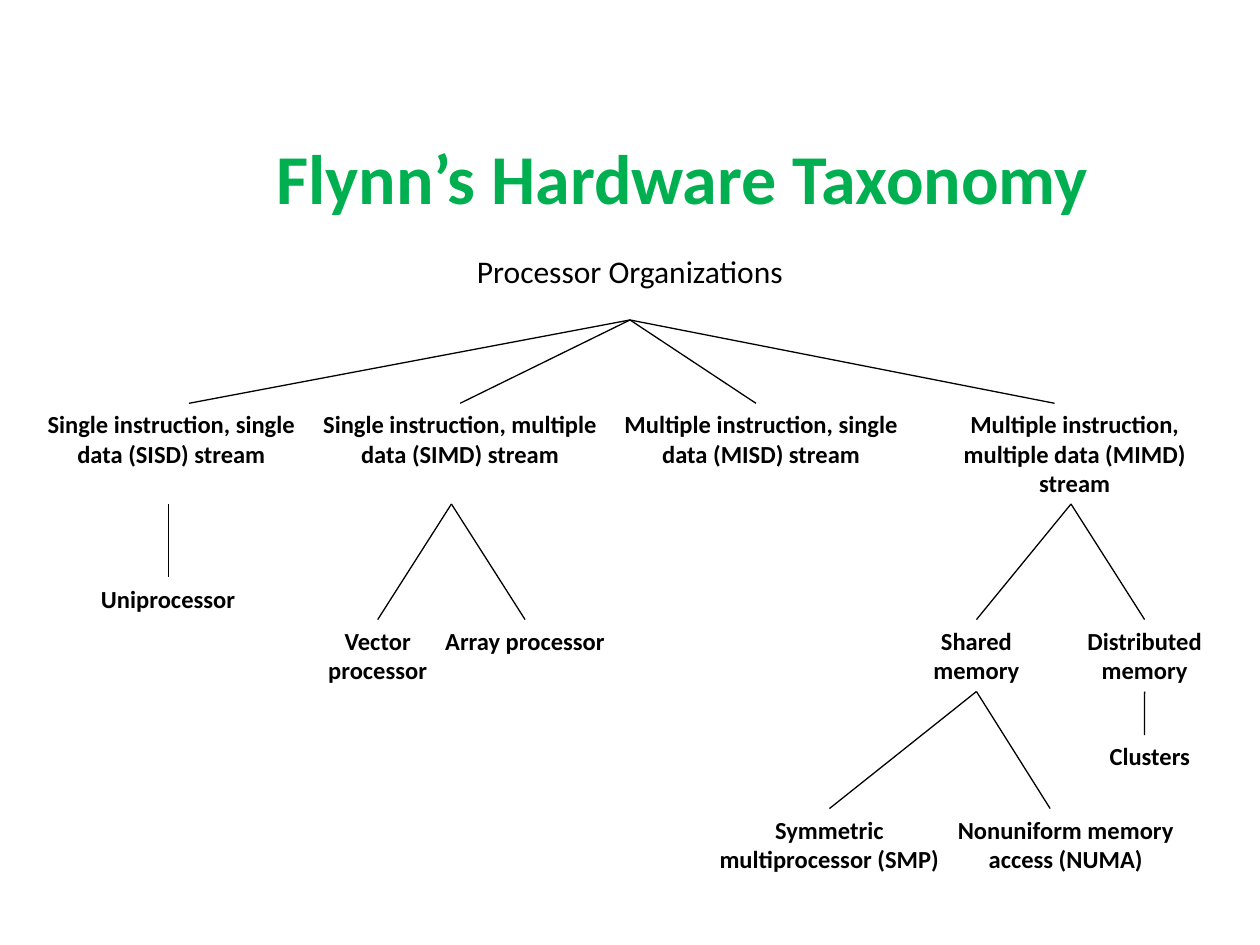
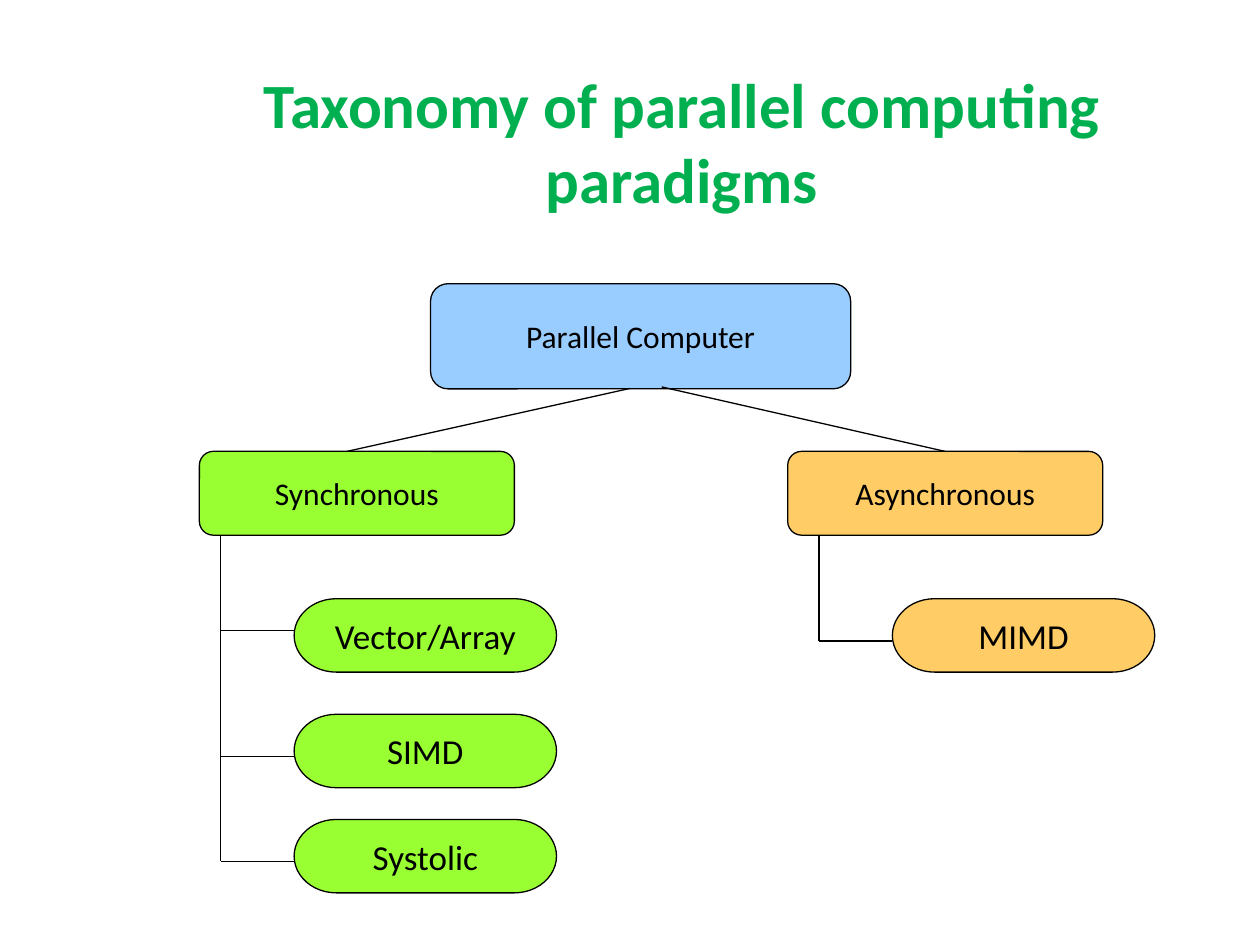
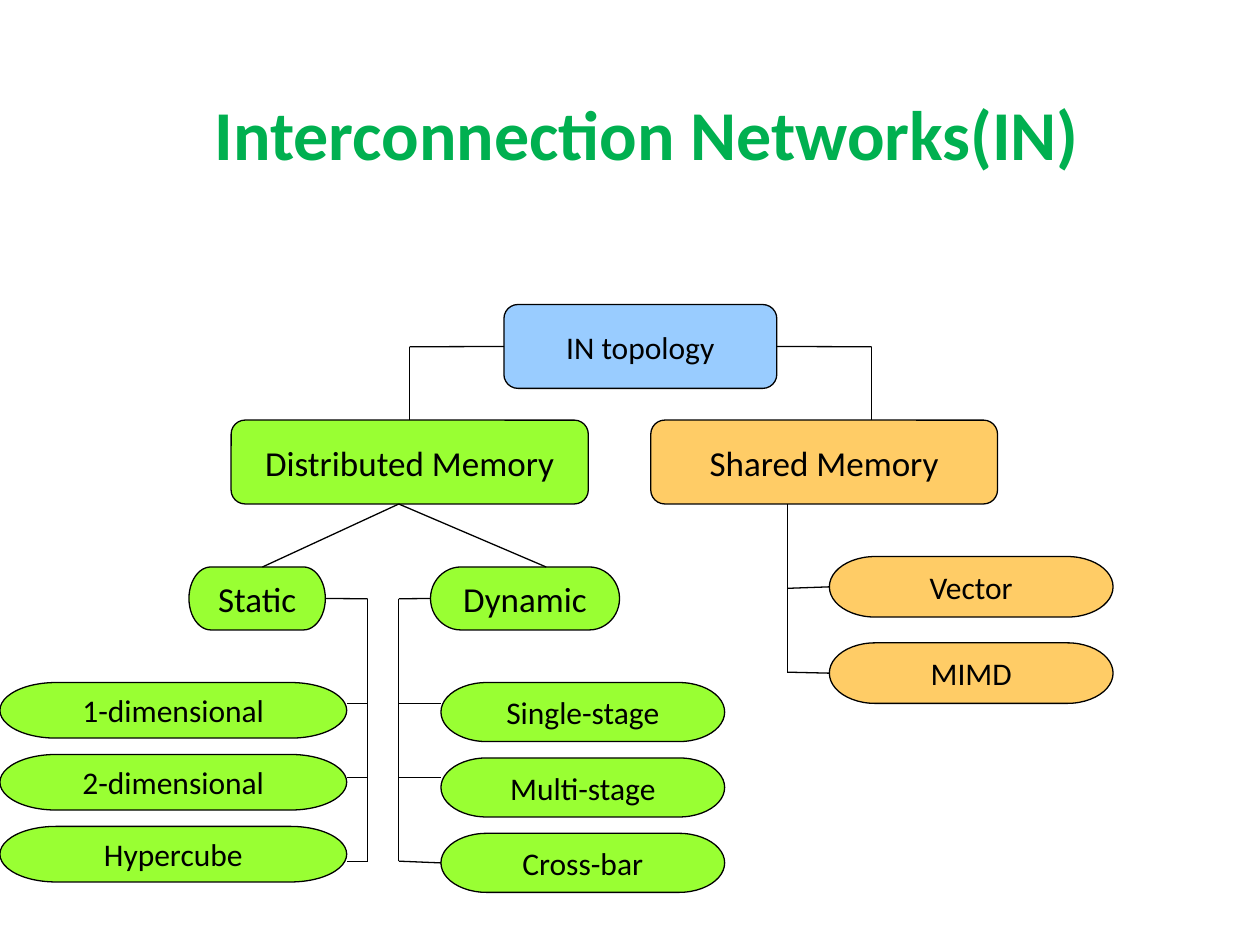
from itertools import pairwise
from math import dist

from lxml.etree import SubElement
from pptx import Presentation
from pptx.dml.color import RGBColor
from pptx.enum.shapes import MSO_CONNECTOR as Wire, MSO_SHAPE as Kind
from pptx.enum.text import MSO_ANCHOR as Anchor, MSO_AUTO_SIZE as Fit, PP_ALIGN as Align
from pptx.oxml.ns import qn
from pptx.util import Cm, Pt

BLACK = RGBColor(0x00, 0x00, 0x00)
GREEN = RGBColor(0x00, 0xB0, 0x50)
BLUE = RGBColor(0x99, 0xCC, 0xFF)
LIME = RGBColor(0x99, 0xFF, 0x33)
AMBER = RGBColor(0xFF, 0xCC, 0x66)
FONT = "Calibri"
THIN = Pt(0.75)
NEAR = Cm(0.06)


def write(frame, text, size=18, bold=False, color=BLACK, anchor=Anchor.MIDDLE, wrap=True):
    frame.auto_size = Fit.NONE
    frame.word_wrap = wrap
    frame.vertical_anchor = anchor
    para = frame.paragraphs[0]
    para.alignment = Align.CENTER
    run = para.add_run()
    run.text = text
    font = run.font
    font.name, font.size, font.bold = FONT, Pt(size), bold
    font.color.rgb = color


def add_page(deck, text, box, size=40):
    slide = deck.slides.add_slide(deck.slide_layouts[5])
    title = slide.shapes.title
    title.left, title.top, title.width, title.height = map(Cm, box)
    write(title.text_frame, text, size=size, bold=True, color=GREEN)
    return slide


def label(slide, text, box, **style):
    note = slide.shapes.add_textbox(*map(Cm, box))
    write(note.text_frame, text, anchor=Anchor.TOP, **style)


def node(slide, text, box, fill, size=18, kind=Kind.FLOWCHART_ALTERNATE_PROCESS):
    shape = slide.shapes.add_shape(kind, *map(Cm, box))
    shape.shadow.inherit = False
    shape.fill.solid()
    shape.fill.fore_color.rgb = fill
    shape.line.color.rgb = BLACK
    shape.line.width = THIN
    write(shape.text_frame, text, size=size, wrap=False)


def pill(slide, text, box, fill, size=18):
    node(slide, text, box, fill, size, Kind.FLOWCHART_TERMINATOR)


def find_side(slide, point):
    """Return the shape and side whose middle lies at the point, if any."""
    for shape in slide.shapes:
        if shape.shape_type is not None and hasattr(shape, "begin_x"):
            continue
        x, y, w, h = shape.left, shape.top, shape.width, shape.height
        mids = (x + w / 2, y), (x, y + h / 2), (x + w / 2, y + h), (x + w, y + h / 2)
        for side, mid in enumerate(mids):
            if dist(mid, point) < NEAR:
                return shape, side
    return None


def link(slide, *points):
    """Draw lines through the points, joined to the sides they meet."""
    for start, stop in pairwise([tuple(map(Cm, point)) for point in points]):
        wire = slide.shapes.add_connector(Wire.STRAIGHT, *start, *stop)
        wire.line.color.rgb = BLACK
        wire.line.width = THIN
        SubElement(wire._element.spPr, qn("a:effectLst"))
        if found := find_side(slide, start):
            wire.begin_connect(*found)
        if found := find_side(slide, stop):
            wire.end_connect(*found)


def branch(slide, apex, drop, high, kids):
    """Fan out from the apex; each kid has text, left, width and line tip."""
    x, y = apex
    for text, left, width, tip in kids:
        label(slide, text, (x + left, y + drop, width, high), size=14, bold=True)
        link(slide, apex, (x + tip, y + drop))


def comb(slide, box, rail, items, fill, size=18):
    """Stack pills from the box down; each item has text, drop and tooth height."""
    x, y, w, h = box
    stem = x + rail[0]
    edge = x if rail[0] < 0 else x + w
    for text, drop, _ in items:
        pill(slide, text, (x, y + drop, w, h), fill, size)
    link(slide, (stem, y + rail[1]), (stem, y + items[-1][2]))
    for _, _, tooth in items:
        link(slide, (stem, y + tooth), (edge, y + tooth))


def add_flynn(deck):
    slide = add_page(deck, "Flynn’s Hardware Taxonomy", (2.41, 2.57, 22.68, 1.96))
    label(slide, "Processor Organizations", (0, 4.95, 25.4, 1.27))
    branch(slide, (12.7, 6.45), 1.68, 2.03, [
        ("Single instruction, single data (SISD) stream", -12.42, 6.35, -8.89),
        ("Single instruction, multiple data (SIMD) stream", -6.6, 6.35, -3.38),
        ("Multiple instruction, single data (MISD) stream", -0.53, 6.35, 2.54),
        ("Multiple instruction, multiple data (MIMD) stream", 5.79, 6.35, 8.56)])
    branch(slide, (3.39, 10.16), 1.48, 0.85, [("Uniprocessor", -2.33, 4.66, 0)])
    branch(slide, (9.1, 10.16), 2.33, 1.45, [
        ("Vector processor", -3.39, 3.81, -1.48),
        ("Array processor", -0.42, 3.81, 1.48)])
    branch(slide, (21.59, 10.16), 2.33, 1.45, [
        ("Shared memory", -3.6, 3.39, -1.91),
        ("Distributed memory", -0.42, 3.81, 1.48)])
    branch(slide, (19.69, 13.97), 2.33, 2.03, [
        ("Symmetric multiprocessor (SMP)", -5.51, 5.08, -2.97),
        ("Nonuniform memory access (NUMA)", -0.64, 4.87, 1.48)])
    branch(slide, (23.07, 13.97), 0.85, 0.85, [("Clusters", -1.48, 3.18, 0)])


def add_kinds(deck):
    slide = add_page(deck, "Taxonomy of parallel computing paradigms",
                     (2.41, 1.19, 22.68, 3.3), size=36)
    node(slide, "Parallel Computer", (8.68, 5.72, 8.47, 2.12), BLUE)
    node(slide, "Synchronous", (4.02, 9.1, 6.35, 1.69), LIME)
    node(slide, "Asynchronous", (15.88, 9.1, 6.35, 1.69), AMBER)
    rail = -1.48, -1.27
    comb(slide, (5.93, 12.07, 5.29, 1.48), rail, [
        ("Vector/Array", 0, 0.64), ("SIMD", 2.33, 3.18), ("Systolic", 4.45, 5.29)],
        LIME, size=20)
    comb(slide, (17.99, 12.07, 5.29, 1.48), rail, [("MIMD", 0, 0.85)], AMBER, size=20)
    link(slide, (12.7, 7.83), (6.99, 9.1))
    link(slide, (13.34, 7.8), (19.05, 9.12))


def add_nets(deck):
    slide = add_page(deck, "Interconnection Networks(IN)", (1.7, 1.7, 22.68, 1.96))
    node(slide, "IN topology", (10.16, 6.14, 5.5, 1.69), BLUE)
    node(slide, "Distributed Memory", (4.66, 8.47, 7.2, 1.69), LIME, size=20)
    node(slide, "Shared Memory", (13.12, 8.47, 6.99, 1.69), AMBER, size=20)
    pill(slide, "Static", (3.81, 11.43, 2.75, 1.27), LIME, size=20)
    pill(slide, "Dynamic", (8.68, 11.43, 3.81, 1.27), LIME, size=20)
    comb(slide, (0, 13.76, 6.99, 1.12), (7.41, -1.69), [
        ("1-dimensional", 0, 0.42), ("2-dimensional", 1.45, 1.91),
        ("Hypercube", 2.9, 3.6)], LIME)
    comb(slide, (8.89, 13.76, 5.72, 1.19), (-0.85, -1.69), [
        ("Single-stage", 0, 0.42), ("Multi-stage", 1.52, 1.91),
        ("Cross-bar", 3.04, 3.6)], LIME)
    comb(slide, (16.72, 11.22, 5.72, 1.22), (-0.85, -1.06), [
        ("Vector", 0, 0.64), ("MIMD", 1.74, 2.33)], AMBER)
    link(slide, (5.29, 11.43), (8.04, 10.16), (11.01, 11.43))
    link(slide, (7.41, 12.07), (6.56, 12.07))
    link(slide, (8.04, 12.07), (8.68, 12.07))
    link(slide, (10.16, 6.99), (8.26, 6.99), (8.26, 8.47))
    link(slide, (15.66, 6.99), (17.57, 6.99), (17.57, 8.47))


def main():
    deck = Presentation()
    deck.slide_width, deck.slide_height = Cm(25.4), Cm(19.05)
    add_flynn(deck)
    add_kinds(deck)
    add_nets(deck)
    deck.save("out.pptx")


if __name__ == "__main__":
    main()
